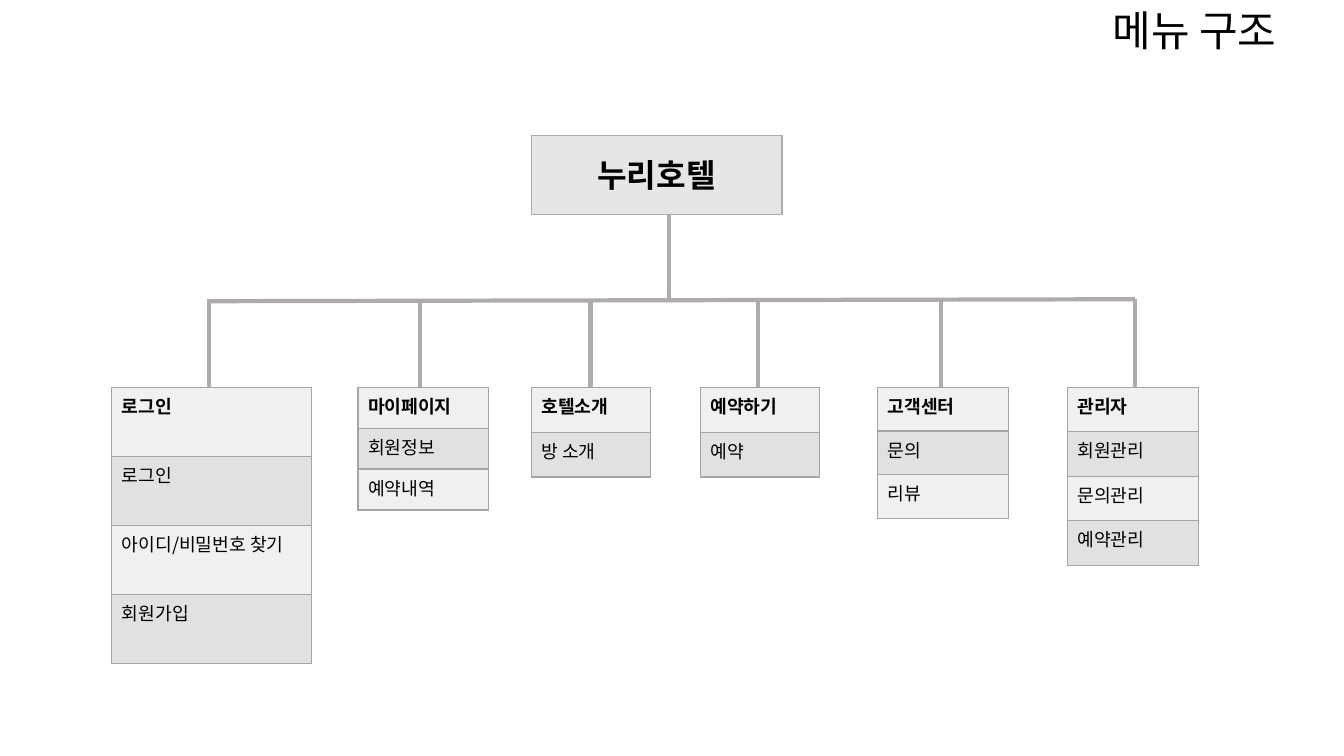
from dataclasses import dataclass

from lxml import etree
from pptx import Presentation
from pptx import util as u
from pptx.dml.color import RGBColor
from pptx.enum import shapes, text
from pptx.oxml import ns

FONT = "Noto Sans CJK KR"
BLACK = RGBColor(0x00, 0x00, 0x00)
LINE_GRAY = RGBColor(0xAF, 0xAB, 0xAB)
ROOT_GRAY = RGBColor(0xE7, 0xE6, 0xE6)
BORDER_GRAY = RGBColor(0xA5, 0xA5, 0xA5)
BAND_COLORS = (RGBColor(0xF0, 0xF0, 0xF0), RGBColor(0xE1, 0xE1, 0xE1))

MENU_TOP = 9.76
BUS_LEFT_Y, BUS_RIGHT_Y = 7.59, 7.54


@dataclass
class Menu:
    """A column of menu entries, heading first; lengths in centimetres."""
    left: float
    width: float
    row_height: float
    stem_x: float
    stem_top: float
    entries: tuple[str, ...]


MENUS = (
    Menu(2.82, 5.03, 1.74, 5.26, 7.54, ("로그인", "로그인", "아이디/비밀번호 찾기", "회원가입")),
    Menu(9.02, 3.3, 1.03, 10.59, 7.59, ("마이페이지", "회원정보", "예약내역")),
    Menu(13.39, 3, 1.13, 14.88, 7.59, ("호텔소개", "방 소개")),
    Menu(17.65, 3, 1.13, 19.1, 7.59, ("예약하기", "예약")),
    Menu(22.12, 3.3, 1.1, 23.72, 7.54, ("고객센터", "문의", "리뷰")),
    Menu(26.9, 3.3, 1.12, 28.6, 7.54, ("관리자", "회원관리", "문의관리", "예약관리")),
)


def write(frame, words: str, size: float, bold: bool = False) -> None:
    frame.text = words
    span = frame.paragraphs[0].runs[0]
    span.font.size = u.Pt(size)
    span.font.bold = bold
    span.font.name = FONT
    span.font.color.rgb = BLACK
    east_asian = etree.SubElement(span.font._element, ns.qn("a:ea"))
    east_asian.set("typeface", FONT)


def add_cell_borders(cell) -> None:
    properties = cell._tc.get_or_add_tcPr()
    for side in ("a:lnL", "a:lnR", "a:lnT", "a:lnB"):
        border = etree.SubElement(properties, ns.qn(side), w=str(u.Pt(1)))
        fill = etree.SubElement(border, ns.qn("a:solidFill"))
        etree.SubElement(fill, ns.qn("a:srgbClr"), val=str(BORDER_GRAY))


def add_line(page, x1: float, y1: float, x2: float, y2: float) -> None:
    line = page.shapes.add_connector(
        shapes.MSO_CONNECTOR.STRAIGHT, u.Cm(x1), u.Cm(y1), u.Cm(x2), u.Cm(y2))
    line.line.color.rgb = LINE_GRAY
    line.line.width = u.Pt(3)
    etree.SubElement(line._element.spPr, ns.qn("a:effectLst"))


def add_menu(page, menu: Menu) -> None:
    count = len(menu.entries)
    table = page.shapes.add_table(
        count, 1, u.Cm(menu.left), u.Cm(MENU_TOP),
        u.Cm(menu.width), u.Cm(menu.row_height * count)).table
    for index, entry in enumerate(menu.entries):
        table.rows[index].height = u.Cm(menu.row_height)
        cell = table.cell(index, 0)
        write(cell.text_frame, entry, 13, bold=index == 0)
        add_cell_borders(cell)
        cell.fill.solid()
        cell.fill.fore_color.rgb = BAND_COLORS[index % 2]


def add_title(page) -> None:
    box = page.shapes.add_textbox(u.Cm(27.79), u.Cm(0), u.Cm(5.89), u.Cm(1.55))
    box.text_frame.word_wrap = True
    write(box.text_frame, "메뉴 구조", 30)


def add_root(page) -> None:
    box = page.shapes.add_shape(
        shapes.MSO_SHAPE.RECTANGLE, u.Cm(13.39), u.Cm(3.41), u.Cm(6.32), u.Cm(2))
    box.shadow.inherit = False
    box.fill.solid()
    box.fill.fore_color.rgb = ROOT_GRAY
    box.line.color.rgb = LINE_GRAY
    box.line.width = u.Pt(1)
    box.text_frame.vertical_anchor = text.MSO_ANCHOR.MIDDLE
    write(box.text_frame, "누리호텔", 23, bold=True)
    box.text_frame.paragraphs[0].alignment = text.PP_ALIGN.CENTER


def main() -> None:
    deck = Presentation()
    deck.slide_width, deck.slide_height = u.Cm(33.87), u.Cm(19.05)
    page = deck.slides.add_slide(deck.slide_layouts[6])
    add_title(page)
    for menu in MENUS:
        add_menu(page, menu)
    for menu in MENUS:
        add_line(page, menu.stem_x, MENU_TOP, menu.stem_x, menu.stem_top)
    add_line(page, MENUS[0].stem_x, BUS_LEFT_Y, MENUS[-1].stem_x, BUS_RIGHT_Y)
    add_line(page, 16.86, BUS_RIGHT_Y, 16.86, 5.4)
    add_root(page)
    deck.save("out.pptx")


if __name__ == "__main__":
    main()
